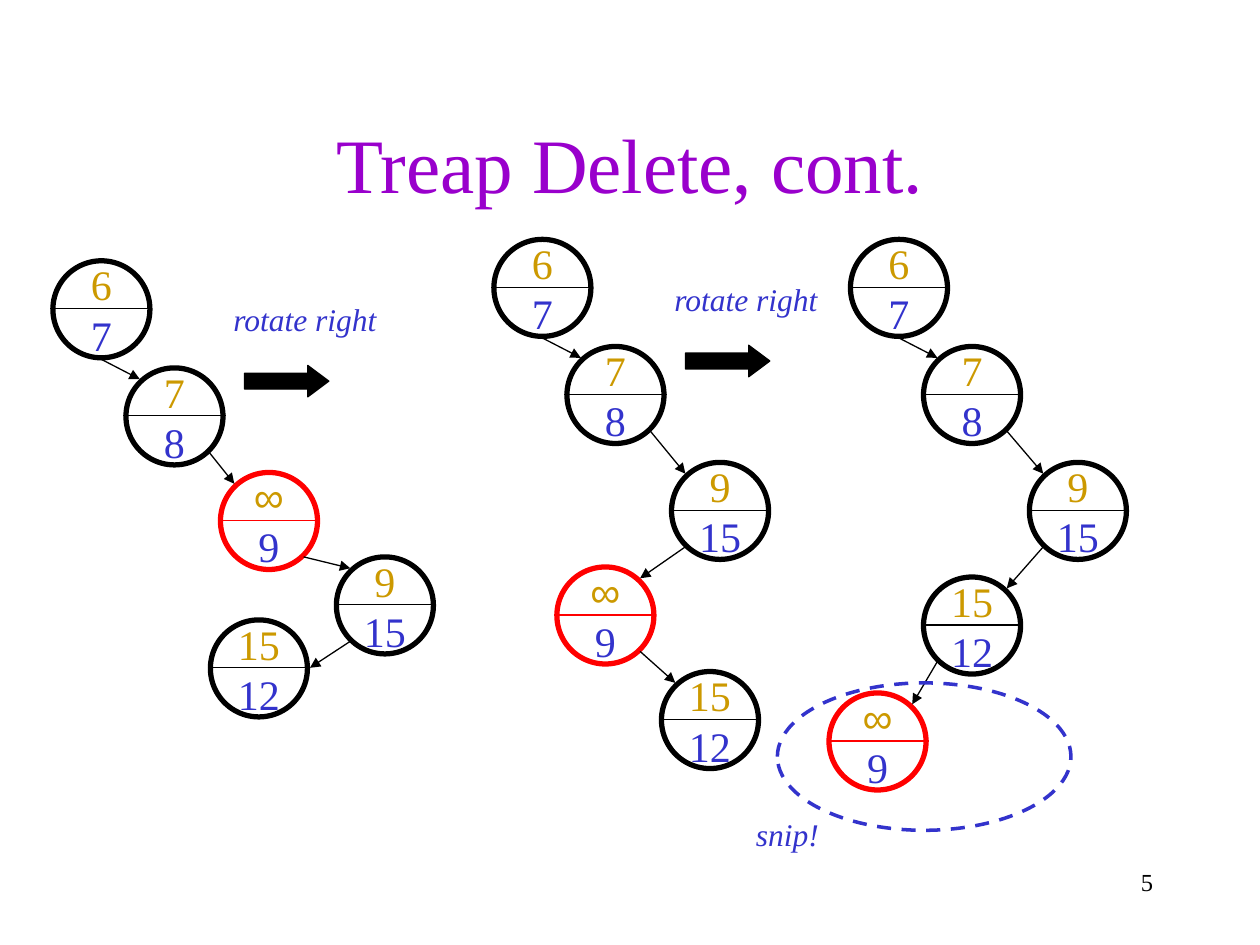
from dataclasses import dataclass

from lxml.etree import SubElement
from pptx import Presentation
from pptx.dml.color import RGBColor
from pptx.enum.dml import MSO_LINE
from pptx.enum.shapes import MSO_CONNECTOR, MSO_SHAPE
from pptx.enum.text import MSO_ANCHOR, MSO_AUTO_SIZE, PP_ALIGN
from pptx.oxml.ns import qn
from pptx.util import Inches, Pt

BLACK = RGBColor(0x00, 0x00, 0x00)
RED = RGBColor(0xFF, 0x00, 0x00)
GOLD = RGBColor(0xCC, 0x99, 0x00)
BLUE = RGBColor(0x33, 0x33, 0xCC)
PURPLE = RGBColor(0x99, 0x00, 0xCC)
SERIF = "Times New Roman"
SANS = "Arial"

DIAMETER = 0.77
# Where edges meet a node, measured from its top left corner
ANCHORS = {
    "bottom": (0.38, 0.78),
    "right": (0.79, 0.38),
    "top left": (0.11, 0.09),
    "top right": (0.66, 0.09),
    "bottom left": (0.11, 0.67),
    "bottom right": (0.66, 0.67),
}


@dataclass
class Node:
    priority: str
    key: str
    x: float
    y: float
    start: str = ""  # anchor on the parent
    end: str = ""  # anchor on this node


@dataclass
class Label:
    text: str
    x: float
    y: float


RIGHT = ("bottom right", "top left")
LEFT = ("bottom left", "top right")
ROOT_RIGHT = ("bottom", "top left")

# Each tree is a chain: every node hangs from the one before it
TREES = [
    [
        Node("6", "7", 0.42, 2.07),
        Node("7", "8", 1, 2.92, *ROOT_RIGHT),
        Node("∞", "9", 1.75, 3.75, *RIGHT),
        Node("9", "15", 2.67, 4.42, *RIGHT),
        Node("15", "12", 1.67, 4.92, "bottom left", "right"),
    ],
    [
        Node("6", "7", 3.92, 1.9),
        Node("7", "8", 4.5, 2.75, *ROOT_RIGHT),
        Node("9", "15", 5.33, 3.67, *RIGHT),
        Node("∞", "9", 4.42, 4.5, *LEFT),
        Node("15", "12", 5.25, 5.33, *RIGHT),
    ],
    [
        Node("6", "7", 6.75, 1.9),
        Node("7", "8", 7.33, 2.75, *ROOT_RIGHT),
        Node("9", "15", 8.17, 3.67, *RIGHT),
        Node("15", "12", 7.33, 4.58, *LEFT),
        Node("∞", "9", 6.58, 5.5, *LEFT),
    ],
]
ROTATIONS = [Label("rotate right", 1.67, 2.33), Label("rotate right", 5.17, 2.17)]
SNIP = Label("snip!", 5.5, 6.42)


def add_run(p, text: str, size: float, color: RGBColor, font: str = SERIF,
            italic: bool = False) -> None:
    r = p.add_run()
    r.text = text
    r.font.size = Pt(size)
    r.font.name = font
    r.font.color.rgb = color
    r.font.italic = italic


def add_line(s, start: tuple, end: tuple, color: RGBColor, arrow: bool = False) -> None:
    line = s.shapes.add_connector(MSO_CONNECTOR.STRAIGHT, *map(Inches, start + end))
    line.line.color.rgb = color
    line.line.width = Pt(0.75)
    if arrow:
        SubElement(line.line._get_or_add_ln(), qn("a:tailEnd"), type="triangle")
    SubElement(line._element.spPr, qn("a:effectLst"))


def add_ellipse(s, x: float, y: float, w: float, h: float, color: RGBColor, width: float):
    sp = s.shapes.add_shape(MSO_SHAPE.OVAL, Inches(x), Inches(y), Inches(w), Inches(h))
    sp.shadow.inherit = False
    sp.fill.background()
    sp.line.color.rgb = color
    sp.line.width = Pt(width)
    return sp


def add_node(s, node: Node) -> None:
    deleted = node.priority == "∞"
    color = RED if deleted else BLACK
    sp = add_ellipse(s, node.x, node.y, DIAMETER, DIAMETER, color, 3)
    tf = sp.text_frame
    tf.word_wrap = False
    tf.vertical_anchor = MSO_ANCHOR.MIDDLE
    p = tf.paragraphs[0]
    p.alignment = PP_ALIGN.CENTER
    add_run(p, node.priority, 24, GOLD, SANS if deleted else SERIF)
    p = tf.add_paragraph()
    p.alignment = PP_ALIGN.CENTER
    add_run(p, node.key, 24, BLUE)
    middle = node.y + 0.38
    add_line(s, (node.x - 0.02, middle), (node.x + DIAMETER + 0.04 - 0.02 + 0.0, middle), color)


def add_edge(s, parent: Node, child: Node) -> None:
    (x1, y1), (x2, y2) = ANCHORS[child.start], ANCHORS[child.end]
    add_line(s, (parent.x + x1, parent.y + y1), (child.x + x2, child.y + y2), BLACK, True)


def add_text(s, x: float, y: float, w: float, h: float, align: PP_ALIGN):
    tf = s.shapes.add_textbox(Inches(x), Inches(y), Inches(w), Inches(h)).text_frame
    tf.word_wrap = True
    tf.paragraphs[0].alignment = align
    return tf.paragraphs[0]


def add_label(s, label: Label) -> None:
    p = add_text(s, label.x, label.y, 1.5, 0.4, PP_ALIGN.CENTER)
    add_run(p, label.text, 18, BLUE, italic=True)


def add_rotation(s, label: Label) -> None:
    sp = s.shapes.add_shape(MSO_SHAPE.RIGHT_ARROW, Inches(label.x + 0.27),
                            Inches(label.y + 0.57), Inches(0.67), Inches(0.25))
    sp.shadow.inherit = False
    sp.adjustments[1] = 0.67
    sp.fill.solid()
    sp.fill.fore_color.rgb = BLACK
    sp.line.color.rgb = BLACK
    sp.line.width = Pt(0.75)
    add_label(s, label)


def main() -> None:
    prs = Presentation()
    prs.slide_width, prs.slide_height = Inches(10), Inches(7.5)
    s = prs.slides.add_slide(prs.slide_layouts[5])

    # Title
    title = s.shapes.title
    title.left, title.top = Inches(0.75), Inches(0.67)
    title.width, title.height = Inches(8.5), Inches(1.25)
    tf = title.text_frame
    tf.auto_size = MSO_AUTO_SIZE.NONE
    tf.vertical_anchor = MSO_ANCHOR.MIDDLE
    tf.paragraphs[0].alignment = PP_ALIGN.CENTER
    add_run(tf.paragraphs[0], "Treap Delete, cont.", 44, PURPLE)

    # Trees before, between and after the rotations
    for tree in TREES:
        for node in tree:
            add_node(s, node)
        for parent, child in zip(tree, tree[1:]):
            add_edge(s, parent, child)
    for label in ROTATIONS:
        add_rotation(s, label)

    # Leaf to cut off
    cut = add_ellipse(s, 6.17, 5.42, 2.33, 1.17, BLUE, 2)
    cut.line.dash_style = MSO_LINE.DASH
    add_label(s, SNIP)

    # Slide number
    add_run(add_text(s, 7.17, 6.83, 2.08, 0.5, PP_ALIGN.RIGHT), "5", 14, BLACK)

    prs.save("out.pptx")


if __name__ == "__main__":
    main()
